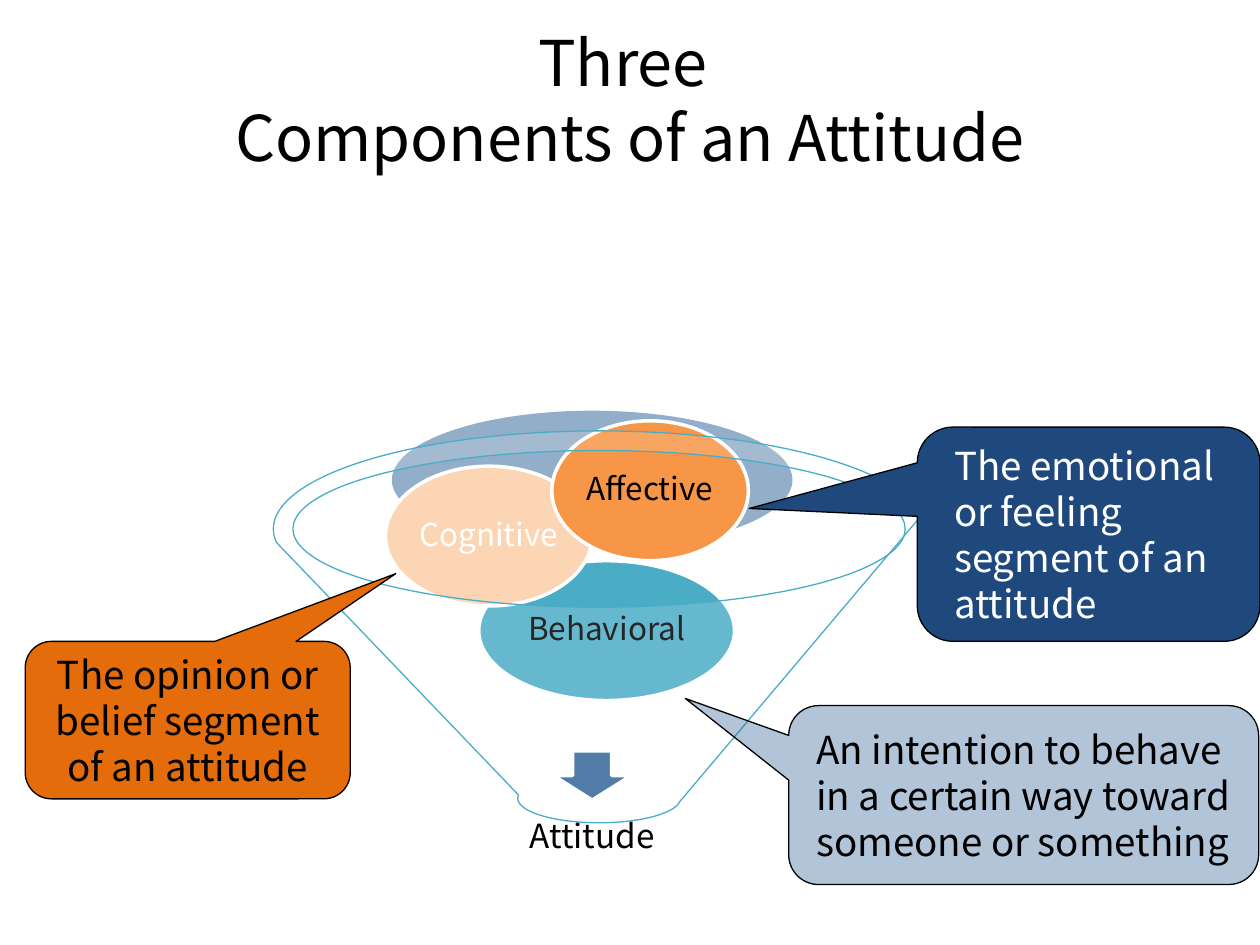
from dataclasses import dataclass

from lxml import etree
from pptx import Presentation
from pptx.dml.color import RGBColor
from pptx.enum.shapes import MSO_SHAPE
from pptx.enum.text import MSO_ANCHOR, PP_ALIGN
from pptx.oxml.ns import qn
from pptx.util import Inches, Pt

ELLIPSE = MSO_SHAPE.OVAL
ARROW = MSO_SHAPE.DOWN_ARROW
FUNNEL = MSO_SHAPE.FUNNEL
CALLOUT = MSO_SHAPE.ROUNDED_RECTANGULAR_CALLOUT
LEFT, CENTER = PP_ALIGN.LEFT, PP_ALIGN.CENTER
MIDDLE = MSO_ANCHOR.MIDDLE


@dataclass(frozen=True)
class Theme:
    font: str = "Noto Sans CJK KR"
    black: str = "000000"
    white: str = "FFFFFF"
    blue: str = "336699"
    navy: str = "1F497D"
    teal: str = "4BACC6"
    peach: str = "FCD5B5"
    orange: str = "F79646"
    rust: str = "E46C0A"
    title: int = 36
    callout: int = 22
    result: int = 19
    label: int = 18


def write(tf, text, size, color, font, align=CENTER, insets=(0.1, 0.05, 0.1, 0.05),
          spacing=None, wrap=True):
    tf.word_wrap = wrap
    tf.vertical_anchor = MIDDLE
    tf.margin_left, tf.margin_top, tf.margin_right, tf.margin_bottom = map(Inches, insets)
    tf.text = text
    for p in tf.paragraphs:
        p.alignment = align
        if spacing:
            p.line_spacing = spacing
        for r in p.runs:
            r.font.name = font
            r.font.size = Pt(size)
            r.font.color.rgb = RGBColor.from_string(color)


class Deck:
    def __init__(self, theme):
        self.theme = theme
        self.prs = Presentation()
        self.prs.slide_width, self.prs.slide_height = Inches(10), Inches(7.5)
        self.s = self.prs.slides.add_slide(self.prs.slide_layouts[5])

    def title(self, text, box):
        sp = self.s.shapes.title
        sp.left, sp.top, sp.width, sp.height = map(Inches, box)
        write(sp.text_frame, text, self.theme.title, self.theme.black, self.theme.font)

    def text(self, text, box, size, **fmt):
        sp = self.s.shapes.add_textbox(*map(Inches, box))
        write(sp.text_frame, text, size, self.theme.black, self.theme.font, **fmt)

    def shape(self, kind, box, fill, line=None, width=2, opacity=None):
        sp = self.s.shapes.add_shape(kind, *map(Inches, box))
        sp.shadow.inherit = False
        sp.fill.solid()
        sp.fill.fore_color.rgb = RGBColor.from_string(fill)
        if opacity is not None:
            clr = sp.fill._xPr.find(qn("a:solidFill"))[0]
            etree.SubElement(clr, qn("a:alpha")).set("val", str(opacity * 1000))
        if line:
            sp.line.color.rgb = RGBColor.from_string(line)
            sp.line.width = Pt(width)
        else:
            sp.line.fill.background()
        return sp

    def component(self, text, box, fill, color):
        sp = self.shape(ELLIPSE, box, fill, self.theme.white)
        write(sp.text_frame, text, self.theme.label, color, self.theme.font,
              insets=(0.03,) * 4, spacing=0.9, wrap=False)

    def callout(self, text, box, tip, fill, color, opacity=None, **fmt):
        sp = self.shape(CALLOUT, box, fill, self.theme.black, 0.75, opacity)
        sp.adjustments[0], sp.adjustments[1] = tip
        write(sp.text_frame, text, self.theme.callout, color, self.theme.font, **fmt)


t = Theme()
deck = Deck(t)
deck.title("Three \vComponents of an Attitude", (0.5, 0, 9, 1.57))

deck.shape(ELLIPSE, (3.11, 3.26, 3.18, 1.1), t.blue, opacity=53)
deck.shape(ARROW, (4.39, 5.96, 0.62, 0.39), t.blue, t.white)
deck.text("Attitude", (3.22, 6.28, 2.96, 0.74), t.result, insets=(0.15,) * 4, spacing=0.9)

for name, box, fill, color in (
    ("Behavioral", (3.8, 4.45, 2.03, 1.11), t.teal, t.black),
    ("Cognitive", (3.06, 3.7, 1.64, 1.11), t.peach, t.white),
    ("Affective", (4.38, 3.34, 1.56, 1.11), t.orange, t.black),
):
    deck.component(name, box, fill, color)

deck.shape(FUNNEL, (2.17, 3.42, 5.17, 3.11), t.white, t.teal, 0.75, opacity=15)

deck.callout("The emotional \nor feeling \nsegment of an \nattitude",
             (7.28, 3.39, 2.72, 1.7), (-0.99, -0.12), t.navy, t.white,
             align=LEFT, insets=(0.21, 0.05, 0.05, 0.05))
deck.callout("The opinion or belief segment of an attitude",
             (0.2, 5.09, 2.58, 1.25), (0.64, -0.93), t.rust, t.black)
deck.callout("An intention to behave in a certain way toward someone or something",
             (6.26, 5.6, 3.73, 1.42), (-0.72, -0.54), t.blue, t.black,
             opacity=38, align=LEFT, insets=(0.15, 0.05, 0.05, 0.05))

deck.prs.save("out.pptx")
